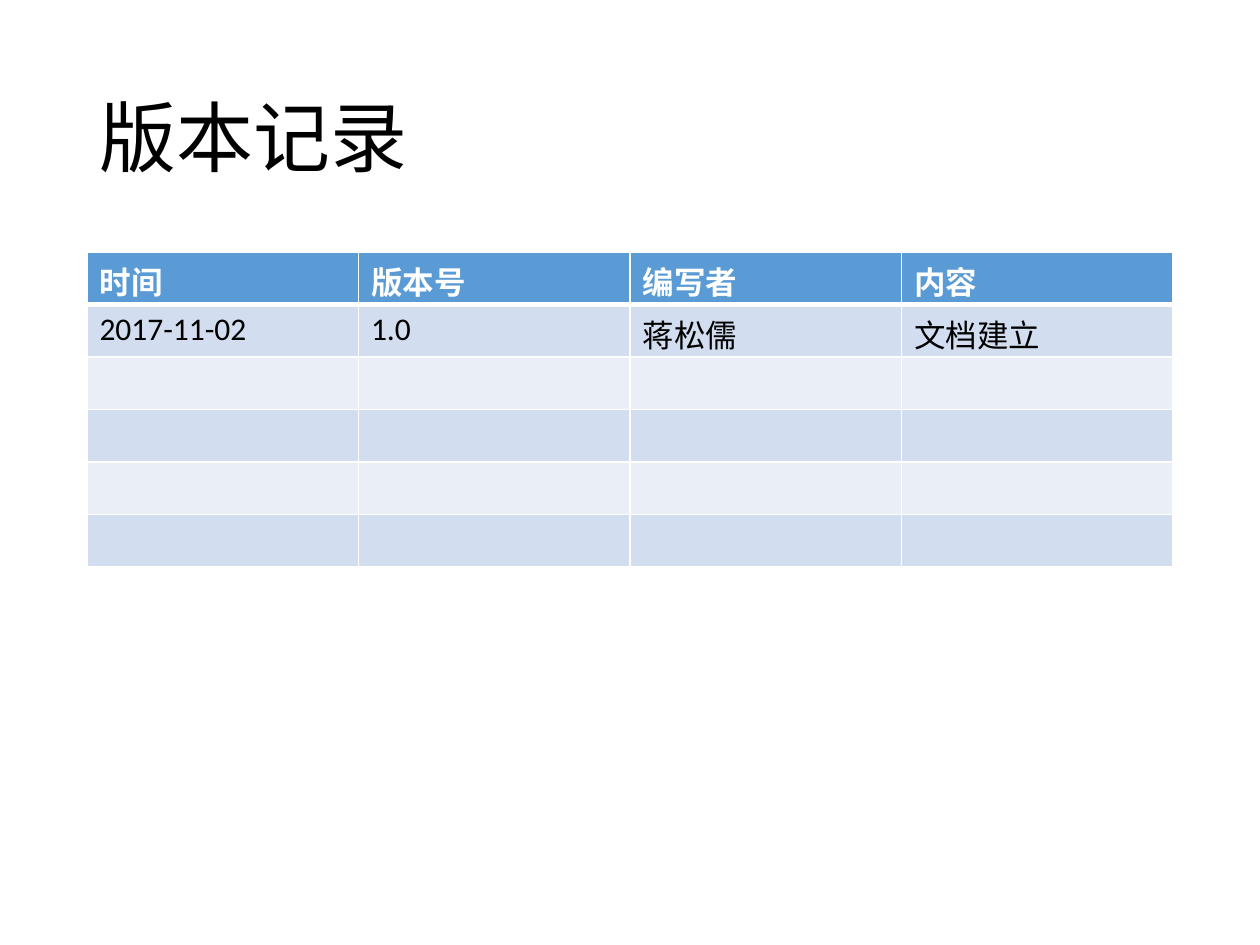
import pptx
import pptx.dml.color
import pptx.enum.text
import pptx.oxml.ns
import pptx.util
from lxml import etree

Inches = pptx.util.Inches
Pt = pptx.util.Pt

FONT = "Calibri"
COLORS = {
    "text": "000000",
    "header_text": "FFFFFF",
    "header": "5B9BD5",
    "odd_row": "D2DEEF",
    "even_row": "EAEFF7",
    "border": "FFFFFF",
}
HEADINGS = ["时间", "版本号", "编写者", "内容"]
VERSIONS = [["2017-11-02", "1.0", "蒋松儒", "文档建立"]]
ROW_COUNT = 6
LEFT, WIDTH = 0.69, 8.62


def rgb(name):
    """Return the named colour."""
    return pptx.dml.color.RGBColor.from_string(COLORS[name])


def add_run(paragraph, text, size, color, bold=False):
    """Add one formatted run to a paragraph."""
    run = paragraph.add_run()
    run.text = text
    run.font.name = FONT
    run.font.size = Pt(size)
    run.font.bold = bold
    run.font.color.rgb = rgb(color)


def add_title(slide, text):
    """Add the slide title, centred vertically in its box."""
    title = slide.shapes.add_textbox(
        Inches(LEFT), Inches(0.4), Inches(WIDTH), Inches(1.45))
    frame = title.text_frame
    frame.word_wrap = True
    frame.vertical_anchor = pptx.enum.text.MSO_ANCHOR.MIDDLE
    frame.paragraphs[0].line_spacing = 0.9
    add_run(frame.paragraphs[0], text, 44, "text")


def set_borders(cell, widths):
    """Draw the cell borders; widths maps a side (L, R, T, B) to points."""
    properties = cell._tc.get_or_add_tcPr()
    qn = pptx.oxml.ns.qn
    for side, width in widths.items():
        line = etree.SubElement(properties, qn("a:ln" + side), w=str(Pt(width)))
        fill = etree.SubElement(line, qn("a:solidFill"))
        etree.SubElement(fill, qn("a:srgbClr"), val=COLORS["border"])


def style_cell(cell, row):
    """Give a cell the borders and fill of its row."""
    set_borders(cell, {"L": 1, "R": 1,
                       "T": 3 if row == 1 else 1,
                       "B": 3 if row == 0 else 1})
    cell.fill.solid()
    band = "odd_row" if row % 2 else "even_row"
    cell.fill.fore_color.rgb = rgb("header" if row == 0 else band)


def add_version_table(slide):
    """Add the version history with empty rows for later entries."""
    history = slide.shapes.add_table(
        ROW_COUNT, len(HEADINGS), Inches(LEFT), Inches(2),
        Inches(WIDTH), Inches(2.5)).table
    entries = [HEADINGS] + VERSIONS
    for row in range(ROW_COUNT):
        for column in range(len(HEADINGS)):
            cell = history.cell(row, column)
            style_cell(cell, row)
            if row < len(entries):
                add_run(cell.text_frame.paragraphs[0], entries[row][column], 18,
                        "text" if row else "header_text", bold=row == 0)


def main():
    """Build and save the version record slide."""
    deck = pptx.Presentation()
    deck.slide_width, deck.slide_height = Inches(10), Inches(7.5)
    slide = deck.slides.add_slide(deck.slide_layouts[6])
    add_title(slide, "版本记录")
    add_version_table(slide)
    deck.save("out.pptx")


main()
